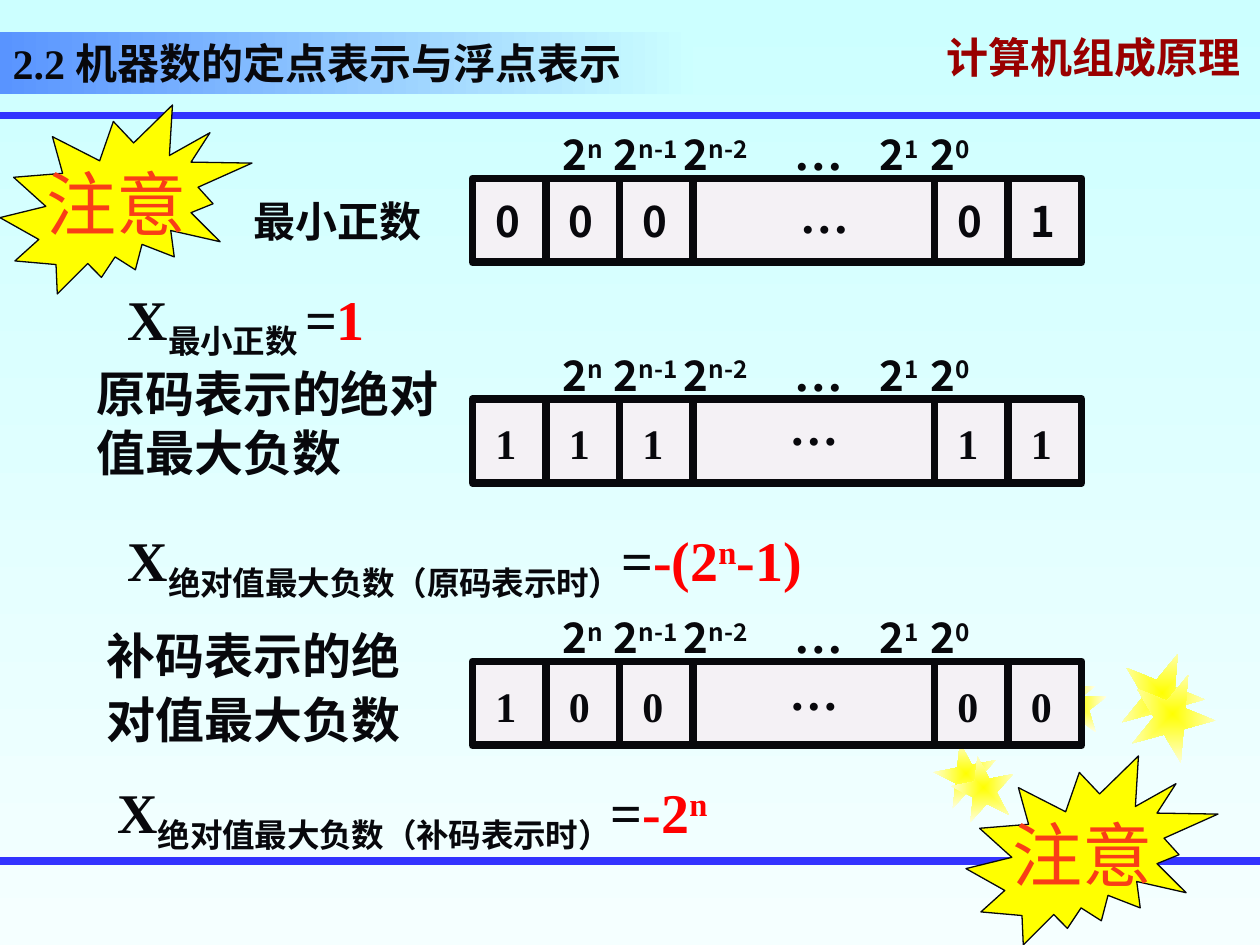
from lxml import etree
from pptx import Presentation
from pptx.dml.color import RGBColor
from pptx.enum.shapes import MSO_CONNECTOR, MSO_SHAPE
from pptx.enum.text import MSO_ANCHOR as ANCHOR, MSO_AUTO_SIZE as AUTO, PP_ALIGN as ALIGN
from pptx.oxml.ns import qn
from pptx.util import Pt

COLORS = {
    "ink": "08080C", "cell": "F4F1F5", "rule": "3333FF", "red": "FF0000",
    "course": "990000", "shade": "808080", "seal": "FFFF00", "notice": "F93D17",
    "sky": "CCFFFF", "pale": "F5FFFF", "band": "5994FF", "glow": "FFFFE9",
}
SANS, SERIF = "Noto Sans CJK SC", "Times New Roman"
UNIT = 42
CELL_LEFTS = [0, UNIT, 2 * UNIT, 3 * UNIT, 264, 264 + UNIT]
POWERS = [("2", "n"), ("2", "n-1"), ("2", "n-2"), ("…", ""), ("2", "1"), ("2", "0")]
POWER_TABS = [29, 69, 132, 181, 210]


def rgb(name):
    return RGBColor.from_string(COLORS[name])


def add_run(p, text, size, font=SERIF, color="ink", bold=True, base=0):
    r = p.add_run()
    r.text = text
    r.font.size, r.font.bold, r.font.name = Pt(size), bold, font
    r.font.color.rgb = rgb(color)
    r_pr = r._r.get_or_add_rPr()
    if base:
        r_pr.set("baseline", str(base * 1000))
    ea = etree.Element(qn("a:ea"), typeface=SANS)
    r_pr.find(qn("a:latin")).addnext(ea)
    return r


def add_box(s, x, y, w, h, anchor=ANCHOR.TOP):
    tf = s.shapes.add_textbox(Pt(x), Pt(y), Pt(w), Pt(h)).text_frame
    tf.word_wrap = True
    tf.vertical_anchor = anchor
    return tf


def add_label(s, x, y, w, h, text, size, font=SERIF):
    tf = add_box(s, x, y, w, h)
    add_run(tf.paragraphs[0], text, size, font)
    return tf


def add_line(s, x1, y1, x2, y2, color):
    line = s.shapes.add_connector(MSO_CONNECTOR.STRAIGHT, Pt(x1), Pt(y1), Pt(x2), Pt(y2))
    line.line.color.rgb = rgb(color)
    line.line.width = Pt(4.5)
    etree.SubElement(line._element.spPr, qn("a:effectLst"))


def set_gradient(fill, start, end, angle):
    fill.gradient()
    fill.gradient_angle = angle
    for stop, name in zip(fill.gradient_stops, (start, end)):
        stop.color.rgb = rgb(name)


def add_star(s, x, y, size, rotation):
    sp = s.shapes.add_shape(MSO_SHAPE.STAR_5_POINT, Pt(x), Pt(y), Pt(size), Pt(size))
    sp.rotation = rotation
    sp.shadow.inherit = False
    sp.line.fill.background()
    set_gradient(sp.fill, "seal", "glow", 0)
    lin = sp._element.spPr.find(qn("a:gradFill")).find(qn("a:lin"))
    route = etree.Element(qn("a:path"))
    route.set("path", "rect")
    etree.SubElement(route, qn("a:fillToRect"), l="50000", t="50000", r="50000", b="50000")
    lin.getparent().replace(lin, route)


def add_backdrop(s):
    set_gradient(s.background.fill, "sky", "pale", 270)
    tf = add_box(s, 534, 18, 186, 36, ANCHOR.MIDDLE)
    tf.paragraphs[0].line_spacing = 0.7
    r = add_run(tf.paragraphs[0], "计算机组成原理", 24, SANS, "course")
    effects = etree.Element(qn("a:effectLst"))
    shadow = etree.SubElement(effects, qn("a:outerShdw"), dist="25400", dir="2700000")
    etree.SubElement(shadow, qn("a:srgbClr"), val=COLORS["shade"])
    r._r.rPr.find(qn("a:solidFill")).addnext(effects)
    for y in (66, 492):
        add_line(s, 0, y, 720, y, "rule")
    for dx, dy in ((0, 0), (10, 8)):
        add_star(s, 534 + dx, 424 + dy, 36, 349)
        add_star(s, 593 + dx * 0.65, 379.5 + dy * 0.75, 33, 0)
        add_star(s, 640 + dx * 0.6, 372 + dy * 1.5, 48, 22)


def add_title(s, x, y, w, h):
    sp = s.shapes.title
    sp.left, sp.top, sp.width, sp.height = Pt(x), Pt(y), Pt(w), Pt(h)
    set_gradient(sp.fill, "band", "sky", 0)
    tf = sp.text_frame
    tf.auto_size = AUTO.NONE
    tf.vertical_anchor = ANCHOR.BOTTOM
    p = tf.paragraphs[0]
    p.alignment = ALIGN.LEFT
    add_run(p, "2.2 机器", 24)
    add_run(p, "数的定点表示与浮点表示", 24, SANS)


def add_powers(s, x, y, w, h):
    p = add_box(s, x, y, w, h, ANCHOR.MIDDLE).paragraphs[0]
    tabs = etree.SubElement(p._p.get_or_add_pPr(), qn("a:tabLst"))
    for stop in POWER_TABS:
        etree.SubElement(tabs, qn("a:tab"), pos=str(Pt(stop)), algn="l")
    for i, (text, power) in enumerate(POWERS):
        if i:
            add_run(p, "\t", 24, SANS)
        if power:
            add_run(p, text, 24, SANS)
            add_run(p, power, 24, SANS, base=30)
        else:
            add_run(p, text, 28)


def add_register(s, x, y, w, h, bits, font, digit_dy, dots):
    sp = s.shapes.add_shape(MSO_SHAPE.RECTANGLE, Pt(x), Pt(y), Pt(w), Pt(h))
    sp.shadow.inherit = False
    sp.fill.solid()
    sp.fill.fore_color.rgb = rgb("cell")
    sp.line.color.rgb = rgb("ink")
    sp.line.width = Pt(4.5)
    for left in CELL_LEFTS[1:]:
        add_line(s, x + left, y, x + left, y + h, "ink")
    add_powers(s, x + 44.6, y - 36, 251, 41)
    digit_lefts = CELL_LEFTS[:3] + CELL_LEFTS[4:]
    for left, bit in zip(digit_lefts, bits):
        add_label(s, x + left + 6, y + digit_dy, 48, 36, bit, 24, font)
    add_label(s, x + dots[0], y + dots[1], 78, 41, "…", 28)


def add_formula(s, x, y, w, h, sub, value):
    p = add_box(s, x, y, w, h).paragraphs[0]
    p.line_spacing = 1.2
    add_run(p, "X", 32)
    add_run(p, sub, 32, base=-25)
    add_run(p, "=", 32)
    for text, base in value:
        add_run(p, text, 32, color="red", base=base)


def add_captions(s):
    add_label(s, 138, 108, 150, 36, "最小正数", 24)
    add_label(s, 48, 204, 211, 75, "原码表示的绝对值最大负数", 28)
    tf = add_label(s, 54, 354, 234, 76, "补码表示的绝", 28)
    p = tf.add_paragraph()
    p.line_spacing = 0.5
    p.space_before = Pt(17.5)
    add_run(p, "对值最大负数", 28)


def add_seal(s, x, y, w, h):
    sp = s.shapes.add_shape(MSO_SHAPE.EXPLOSION2, Pt(x), Pt(y), Pt(w), Pt(h))
    sp.shadow.inherit = False
    sp.fill.solid()
    sp.fill.fore_color.rgb = rgb("seal")
    sp.line.color.rgb = rgb("ink")
    sp.line.width = Pt(0.75)
    tf = sp.text_frame
    tf.word_wrap = False
    tf.vertical_anchor = ANCHOR.MIDDLE
    tf.paragraphs[0].alignment = ALIGN.CENTER
    add_run(tf.paragraphs[0], "注意", 40, color="notice", bold=False)


def main():
    prs = Presentation()
    prs.slide_width, prs.slide_height = Pt(720), Pt(540)
    s = prs.slides.add_slide(prs.slide_layouts[5])
    add_backdrop(s)
    add_title(s, 0, 18, 396, 36)
    registers = [
        (102, "00001 "[:3] + "01", SANS, 6, (180, 0)),
        (228, "11111", SERIF, 7.2, (174, -5)),
        (378, "10000", SERIF, 7.2, (174, -3.6)),
    ]
    for y, *parts in registers:
        add_register(s, 270, y, 348, 48, *parts)
    add_captions(s)
    add_formula(s, 66, 150, 576, 60, "最小正数 ", [("1", 0)])
    add_formula(s, 66, 288, 636, 60, "绝对值最大负数（原码表示时）",
                [("-(2", 0), ("n", 30), ("-1)", 0)])
    add_formula(s, 60, 432, 642, 60, "绝对值最大负数（补码表示时）",
                [("-2", 0), ("n", 30)])
    for x, y in ((552, 432), (0, 60)):
        add_seal(s, x, y, 144, 108)
    prs.save("out.pptx")


if __name__ == "__main__":
    main()
